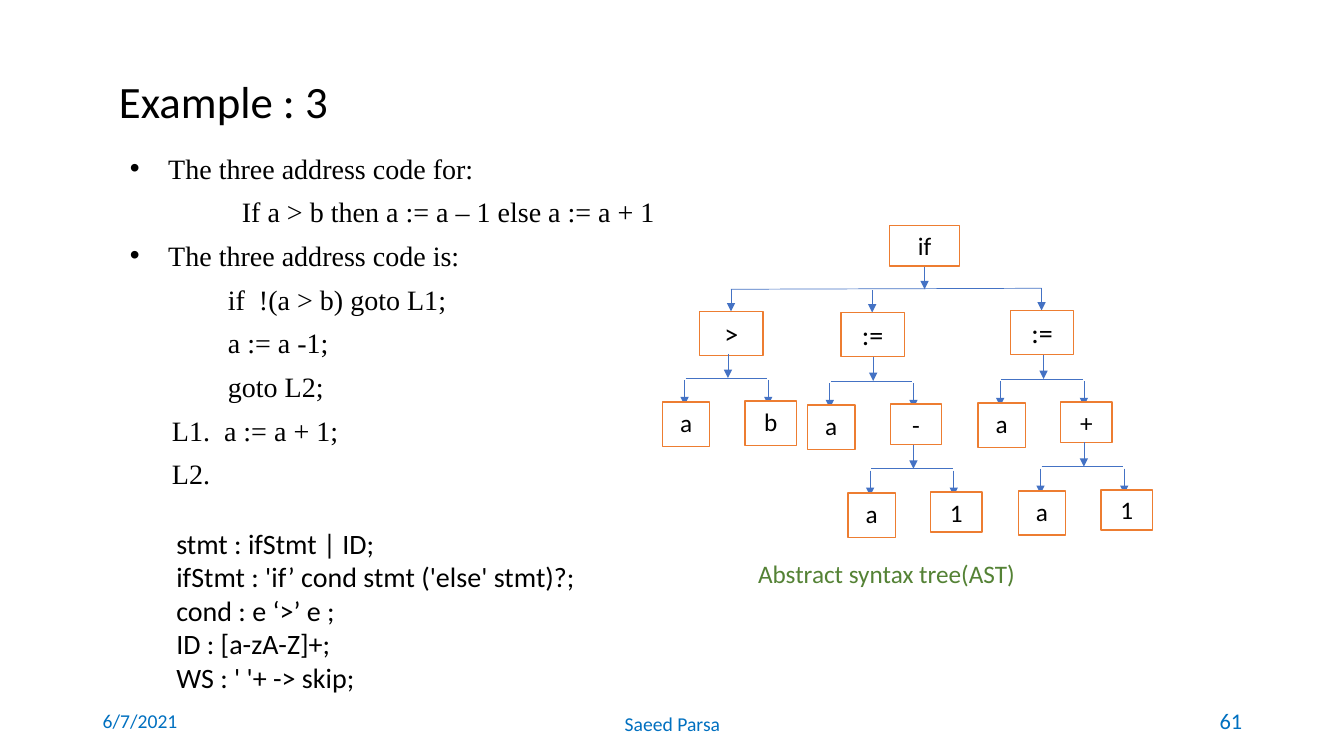
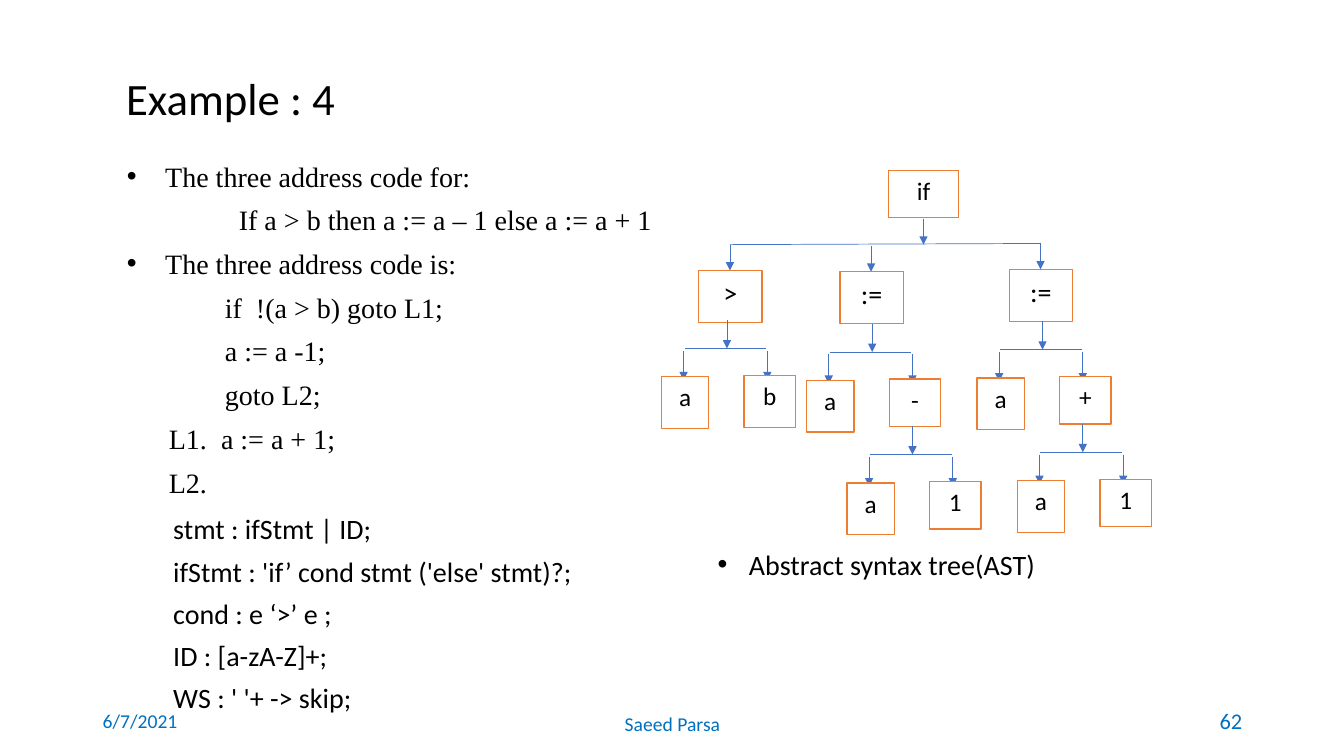
"""Build two slides showing three address code beside its abstract syntax tree."""
from dataclasses import dataclass
from typing import Optional

from lxml.etree import SubElement
from pptx import Presentation
from pptx.dml.color import RGBColor
from pptx.enum.shapes import MSO_CONNECTOR, MSO_SHAPE
from pptx.enum.text import MSO_ANCHOR, MSO_AUTO_SIZE, PP_ALIGN
from pptx.oxml.ns import qn
from pptx.util import Inches, Pt

BLACK = RGBColor(0x00, 0x00, 0x00)
WHITE = RGBColor(0xFF, 0xFF, 0xFF)
ORANGE = RGBColor(0xED, 0x7D, 0x31)
BLUE = RGBColor(0x44, 0x72, 0xC4)
FOOTER_BLUE = RGBColor(0x00, 0x70, 0xC0)
GREEN = RGBColor(0x54, 0x82, 0x35)
SANS = "Calibri"
SERIF = "Times New Roman"
BULLET = "•"
ROOT_TOP = 2.24

CODE = [
    BULLET + "The three address code for:",
    "                If a > b then a := a – 1 else a := a + 1",
    BULLET + "The three address code is:",
    "              if  !(a > b) goto L1;",
    "              a := a -1;",
    "              goto L2;",
    "      L1.  a := a + 1;",
    "      L2.",
]
GRAMMAR = [
    "stmt : ifStmt | ID;",
    "ifStmt : 'if’ cond stmt ('else' stmt)?;",
    "cond : e ‘>’ e ;",
    "ID : [a-zA-Z]+;",
    "WS : ' '+ -> skip;",
]


@dataclass(frozen=True)
class Box:
    """A rectangle in inches."""
    left: float
    top: float
    width: float
    height: float


@dataclass(frozen=True)
class Style:
    """Text formatting for a whole text box."""
    size: float = 20
    font: str = SANS
    color: RGBColor = BLACK
    align: PP_ALIGN = PP_ALIGN.LEFT
    anchor: MSO_ANCHOR = MSO_ANCHOR.TOP
    line_spacing: Optional[float] = None
    after: float = 0
    indent: float = 0


@dataclass(frozen=True)
class Fork:
    """Two children below a stem; the right one may fork again."""
    right: str
    right_height: float = 0.4
    below: Optional["Fork"] = None


@dataclass(frozen=True)
class Branch:
    """A child of the root, with the start of its own fork."""
    label: str
    x: float
    top: float
    fork_x: float
    fork_y: float
    fork: Fork


@dataclass(frozen=True)
class Example:
    """What differs between the example slides."""
    title: str
    number: str
    title_box: Box
    code_box: Box
    grammar_box: Box
    grammar_style: Style
    caption: str
    caption_box: Box
    caption_style: Style
    tree_left: float
    tree_top: float
    tree_scale: float


BRANCHES = [
    Branch(">", 7.25, 3.09, 7.22, 3.51, Fork("b", 0.44)),
    Branch(":=", 8.65, 3.10, 8.66, 3.54, Fork("-", below=Fork("1"))),
    Branch(":=", 10.33, 3.08, 10.35, 3.52, Fork("+", below=Fork("1"))),
]
EXAMPLES = [
    Example("Example : 3", "61", Box(1.08, 0.74, 9.44, 0.58),
            Box(1.19, 1.35, 5.52, 3.56), Box(1.65, 5.17, 4.89, 1.78), Style(),
            "Abstract syntax tree(AST)", Box(7.42, 5.49, 3.07, 0.4),
            Style(18, color=GREEN), 0, ROOT_TOP, 1),
    Example("Example : 4", "62", Box(1.15, 0.71, 9.44, 0.58),
            Box(1.16, 1.43, 5.52, 3.56), Box(1.62, 5.03, 4.94, 2.12),
            Style(after=6), BULLET + "Abstract syntax tree(AST)",
            Box(7.02, 5.38, 3.49, 0.44), Style(indent=0.31), -0.01, 1.69, 1.17),
]


def add_bullet(p, indent: float) -> None:
    """Give a paragraph a hanging bullet."""
    pPr = p._p.get_or_add_pPr()
    pPr.set("marL", str(Inches(indent)))
    pPr.set("indent", str(-Inches(indent)))
    SubElement(pPr, qn("a:buFont")).set("typeface", "Arial")
    SubElement(pPr, qn("a:buChar")).set("char", BULLET)


def write(tf, lines: list[str], style: Style) -> None:
    """Fill a text frame with formatted paragraphs."""
    tf.word_wrap = True
    tf.auto_size = MSO_AUTO_SIZE.NONE
    tf.vertical_anchor = style.anchor
    tf.text = "\n".join(line.removeprefix(BULLET) for line in lines)
    for p, line in zip(tf.paragraphs, lines):
        if line.startswith(BULLET):
            add_bullet(p, style.indent)
        p.alignment = style.align
        p.line_spacing = style.line_spacing
        p.space_after = Pt(style.after)
        for r in p.runs:
            r.font.size = Pt(style.size)
            r.font.name = style.font
            r.font.color.rgb = style.color


def place(box: Box) -> tuple:
    """Turn a box into lengths."""
    return tuple(Inches(v) for v in (box.left, box.top, box.width, box.height))


def add_text(s, box: Box, lines: list[str], style: Style) -> None:
    """Add a text box."""
    write(s.shapes.add_textbox(*place(box)).text_frame, lines, style)


@dataclass(frozen=True)
class Tree:
    """Draws the syntax tree, moved and stretched for one slide."""
    shapes: object
    left: float
    top: float
    scale: float

    def y(self, y: float) -> float:
        """Map a height in the tree to the slide."""
        return self.top + (y - ROOT_TOP) * self.scale

    def node(self, label: str, box: Box, size: float = 18) -> None:
        """Add a labelled node."""
        spot = Box(box.left + self.left, self.y(box.top), box.width, box.height * self.scale)
        sp = self.shapes.add_shape(MSO_SHAPE.RECTANGLE, *place(spot))
        sp.shadow.inherit = False
        sp.fill.solid()
        sp.fill.fore_color.rgb = WHITE
        sp.line.color.rgb = ORANGE
        sp.line.width = Pt(1)
        write(sp.text_frame, [label], Style(size, align=PP_ALIGN.CENTER))

    def line(self, x1: float, y1: float, x2: float, y2: float, arrow: bool = False) -> None:
        """Add a plain line or an arrow."""
        cn = self.shapes.add_connector(
            MSO_CONNECTOR.STRAIGHT, Inches(x1 + self.left), Inches(self.y(y1)),
            Inches(x2 + self.left), Inches(self.y(y2)))
        cn.line.color.rgb = BLUE
        cn.line.width = Pt(0.5)
        if arrow:
            SubElement(cn.line._get_or_add_ln(), qn("a:tailEnd")).set("type", "triangle")
        SubElement(cn._element.spPr, qn("a:effectLst"))

    def arrow(self, x: float, y: float, length: float) -> None:
        """Add a downward arrow."""
        self.line(x, y, x, y + length, arrow=True)

    def fork(self, x: float, y: float, fork: Fork) -> None:
        """Add a stem, its bar and both children."""
        self.arrow(x, y, 0.24)
        self.line(x - 0.42, y + 0.24, x + 0.39, y + 0.24)
        for dx in (0.4, -0.43):
            self.arrow(x + dx, y + 0.26, 0.25)
        self.node(fork.right, Box(x + 0.17, y + 0.47, 0.51, fork.right_height))
        self.node("a", Box(x - 0.65, y + 0.48, 0.47, 0.44))
        if fork.below:
            self.fork(x + 0.4, y + 0.87, fork.below)

    def draw(self) -> None:
        """Draw the root and its branches."""
        self.node("if", Box(8.82, ROOT_TOP, 0.7, 0.4))
        self.arrow(9.17, 2.65, 0.22)
        self.line(BRANCHES[0].x, 2.87, BRANCHES[-1].x, 2.86)
        for b in BRANCHES:
            self.arrow(b.x, b.top - 0.22, 0.22)
            self.node(b.label, Box(b.x - 0.31, b.top, 0.63, 0.44), 20)
            self.fork(b.fork_x, b.fork_y, b.fork)


def add_footer(s, number: str) -> None:
    """Add the date, the author and the slide number."""
    for box, text, size, align in (
        (Box(0.92, 6.95, 3, 0.4), "6/7/2021", 14, PP_ALIGN.LEFT),
        (Box(3.92, 6.95, 5.5, 0.45), "Saeed Parsa", 14, PP_ALIGN.CENTER),
        (Box(9.42, 6.95, 3, 0.4), number, 16, PP_ALIGN.RIGHT),
    ):
        add_text(s, box, [text], Style(size, color=FOOTER_BLUE, align=align,
                                       anchor=MSO_ANCHOR.MIDDLE))


def add_example(prs, ex: Example) -> None:
    """Add one example slide."""
    s = prs.slides.add_slide(prs.slide_layouts[5])
    title = s.shapes.title
    title.left, title.top, title.width, title.height = place(ex.title_box)
    write(title.text_frame, [ex.title],
          Style(32, anchor=MSO_ANCHOR.MIDDLE, line_spacing=0.9))
    add_text(s, ex.code_box, CODE, Style(font=SERIF, line_spacing=1.3, indent=0.38))
    add_text(s, ex.caption_box, [ex.caption], ex.caption_style)
    add_text(s, ex.grammar_box, GRAMMAR, ex.grammar_style)
    Tree(s.shapes, ex.tree_left, ex.tree_top, ex.tree_scale).draw()
    add_footer(s, ex.number)


def main() -> None:
    """Build and save the presentation."""
    prs = Presentation()
    prs.slide_width, prs.slide_height = Inches(13.33), Inches(7.5)
    for ex in EXAMPLES:
        add_example(prs, ex)
    prs.save("out.pptx")


if __name__ == "__main__":
    main()
